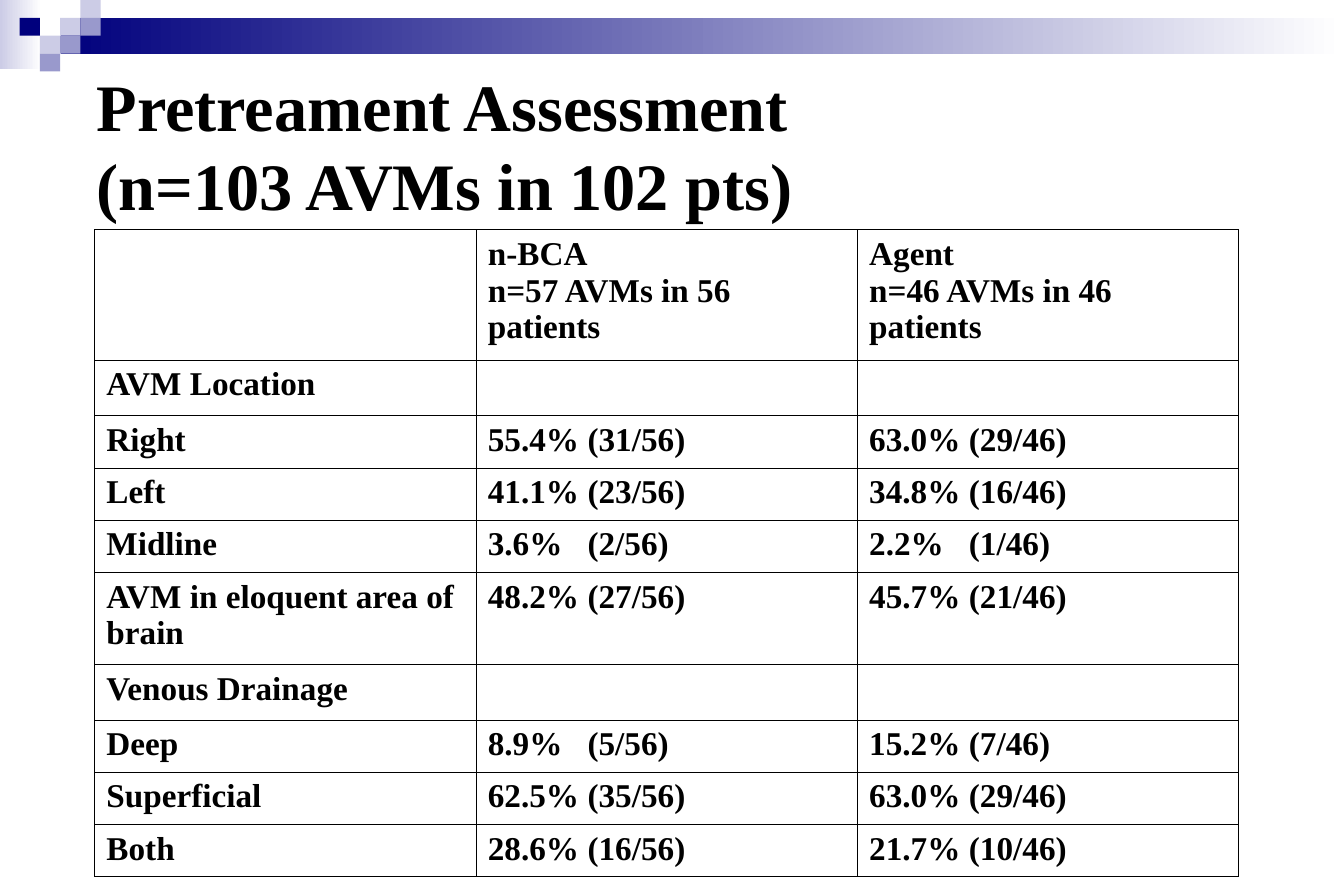
from dataclasses import dataclass

from lxml import etree
from pptx import Presentation
from pptx.dml.color import RGBColor
from pptx.enum import shapes, text
from pptx.oxml import ns
from pptx.util import Cm, Pt


@dataclass(frozen=True)
class Theme:
    font: str = "Times New Roman"
    ink: str = "000000"
    paper: str = "FFFFFF"
    navy: str = "00007D"
    violet: str = "9999CC"
    lilac: str = "CCCCE6"
    title_size: float = 40
    table_size: float = 20
    border: float = 0.45


THEME = Theme()

# Table content: label, first agent, second agent
ROWS = [
    ("", "n-BCA\nn=57 AVMs in 56 patients", "Agent\nn=46 AVMs in 46 patients"),
    ("AVM Location", "", ""),
    ("Right", "55.4%\t(31/56)", "63.0%\t(29/46)"),
    ("Left", "41.1%\t(23/56)", "34.8%\t(16/46)"),
    ("Midline", "3.6%\t(2/56)", "2.2%\t(1/46)"),
    ("AVM in eloquent area of brain", "48.2%\t(27/56)", "45.7%\t(21/46)"),
    ("Venous Drainage", "", ""),
    ("Deep", "8.9%\t(5/56)", "15.2%\t(7/46)"),
    ("Superficial", "62.5%\t(35/56)", "63.0%\t(29/46)"),
    ("Both", "28.6%\t(16/56)", "21.7%\t(10/46)"),
]
ROW_HEIGHT = 1.11
SPECIAL_HEIGHTS = {0: 2.78, 1: 1.18, 5: 1.96, 6: 1.18}
FRACTION_TAB = 2.12

# Decorative tiles: column, row, colour
TILES = [
    (2, 1, THEME.lilac), (3, 0, THEME.lilac), (3, 1, THEME.violet),
    (1, 2, THEME.lilac), (0, 1, THEME.navy), (2, 2, THEME.violet),
    (1, 3, THEME.violet),
]


def format_runs(paragraph, size):
    for run in paragraph.runs:
        run.font.name = THEME.font
        run.font.size = Pt(size)
        run.font.bold = True
        run.font.color.rgb = RGBColor.from_string(THEME.ink)


def add_block(slide, left, top, width, height, *colours):
    """Rectangle filled with one colour, or fading from left to right."""
    block = slide.shapes.add_shape(shapes.MSO_SHAPE.RECTANGLE,
                                   Cm(left), Cm(top), Cm(width), Cm(height))
    block.shadow.inherit = False
    block.line.fill.background()
    if len(colours) == 1:
        block.fill.solid()
        block.fill.fore_color.rgb = RGBColor.from_string(colours[0])
    else:
        block.fill.gradient()
        block.fill.gradient_angle = 0
        for stop, colour in zip(block.fill.gradient_stops, colours):
            stop.color.rgb = RGBColor.from_string(colour)


def add_banner(slide, left, top, width):
    tile_width, tile_height = 0.43, 0.38
    # Fading corner and bar
    add_block(slide, left, top, 0.89, 1.47, THEME.lilac, THEME.paper)
    bar_left = 1.3
    add_block(slide, left + bar_left, top + tile_height, width - bar_left,
              2 * tile_height, THEME.navy, THEME.paper)
    # Tiles on a grid
    for column, row, colour in TILES:
        add_block(slide, left + 0.42 + column * tile_width,
                  top + row * tile_height, tile_width, tile_height, colour)


def add_title(slide, left, top, width, height):
    title = slide.shapes.title
    title.left, title.top = Cm(left), Cm(top)
    title.width, title.height = Cm(width), Cm(height)
    frame = title.text_frame
    frame.text = "Pretreament Assessment\v(n=103 AVMs in 102 pts)"
    frame.auto_size = text.MSO_AUTO_SIZE.NONE
    frame.vertical_anchor = text.MSO_ANCHOR.MIDDLE
    frame.paragraphs[0].alignment = text.PP_ALIGN.LEFT
    format_runs(frame.paragraphs[0], THEME.title_size)


def add_borders(cell):
    properties = cell._tc.get_or_add_tcPr()
    for side in ("lnL", "lnR", "lnT", "lnB"):
        line = etree.SubElement(properties, ns.qn(f"a:{side}"),
                                w=str(Pt(THEME.border)))
        fill = etree.SubElement(line, ns.qn("a:solidFill"))
        etree.SubElement(fill, ns.qn("a:srgbClr"), val=THEME.ink)


def add_fraction_tab(paragraph):
    tabs = etree.SubElement(paragraph._p.get_or_add_pPr(), ns.qn("a:tabLst"))
    etree.SubElement(tabs, ns.qn("a:tab"), pos=str(Cm(FRACTION_TAB)), algn="l")


def fill_cell(cell, content):
    add_borders(cell)
    cell.fill.background()
    cell.text_frame.text = content
    for paragraph in cell.text_frame.paragraphs:
        if "\t" in content:
            add_fraction_tab(paragraph)
        format_runs(paragraph, THEME.table_size)


def add_assessment_table(slide, left, top, width):
    heights = [SPECIAL_HEIGHTS.get(index, ROW_HEIGHT) for index in range(len(ROWS))]
    frame = slide.shapes.add_table(len(ROWS), len(ROWS[0]), Cm(left), Cm(top),
                                   Cm(width), Cm(sum(heights)))
    table = frame.table
    table.first_row = table.horz_banding = False
    for column in table.columns:
        column.width = Cm(width / len(ROWS[0]))
    for row, height, contents in zip(table.rows, heights, ROWS):
        row.height = Cm(height)
        for cell, content in zip(row.cells, contents):
            fill_cell(cell, content)


def main():
    presentation = Presentation()
    presentation.slide_width, presentation.slide_height = Cm(28.58), Cm(19.05)
    slide = presentation.slides.add_slide(presentation.slide_layouts[5])
    add_banner(slide, 0, 0, 28.58)
    add_assessment_table(slide, 2.01, 4.88, 24.33)
    add_title(slide, 1.8, 1.7, 25.98, 2.74)
    presentation.save("out.pptx")


if __name__ == "__main__":
    main()
